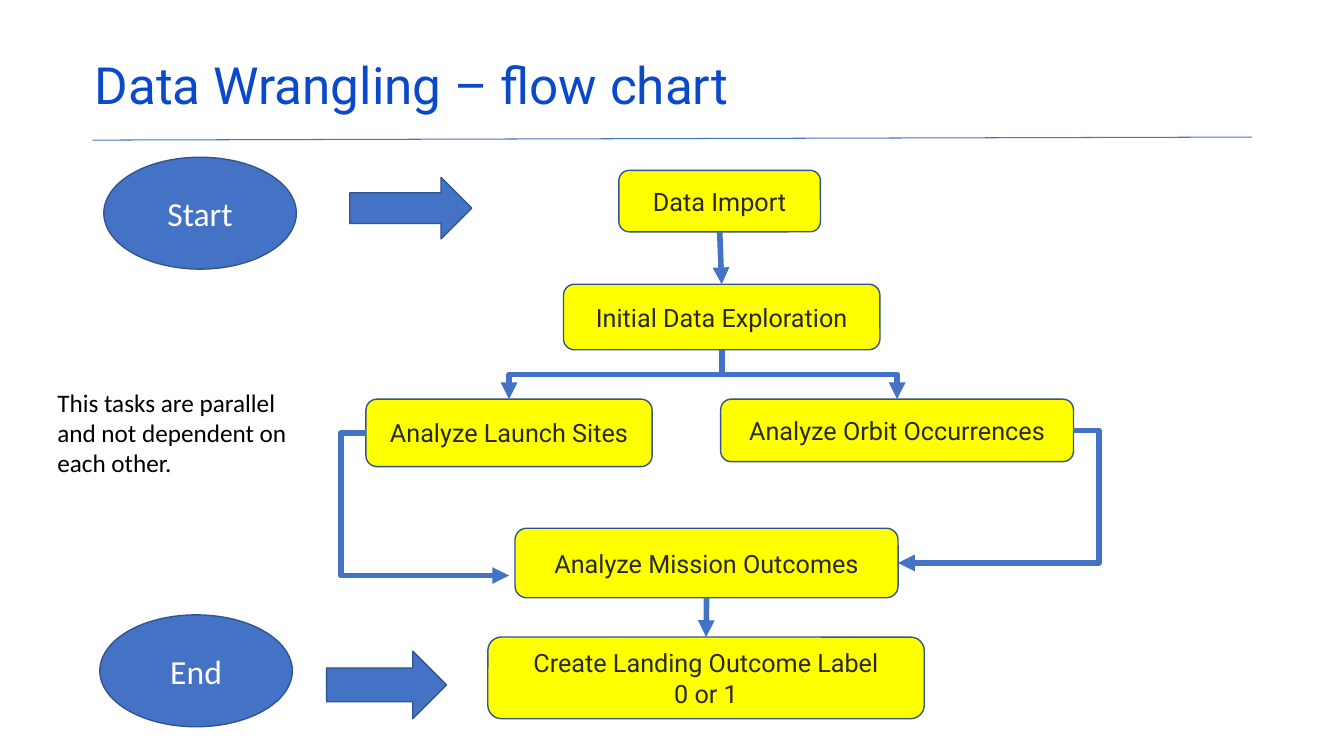
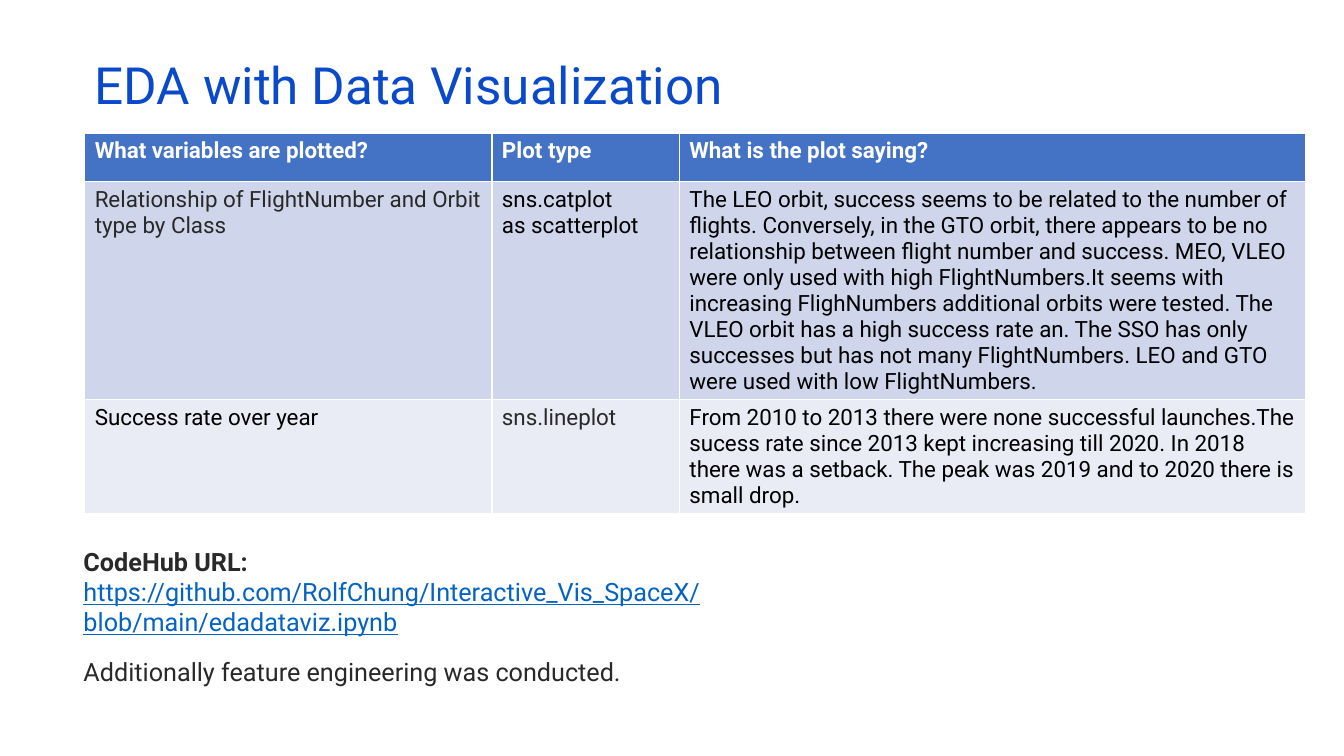
import pptx
import pptx.dml.color
import pptx.enum.shapes
import pptx.enum.text
import pptx.oxml
import pptx.oxml.ns
import pptx.util

RGBColor = pptx.dml.color.RGBColor
Shape = pptx.enum.shapes.MSO_SHAPE
Connector = pptx.enum.shapes.MSO_CONNECTOR
Align = pptx.enum.text.PP_ALIGN
Anchor = pptx.enum.text.MSO_ANCHOR

TITLE_BLUE = RGBColor(0x0B, 0x49, 0xCB)
BLUE = RGBColor(0x44, 0x72, 0xC4)
OUTLINE = RGBColor(0x32, 0x54, 0x90)
LINK = RGBColor(0x05, 0x63, 0xC1)
YELLOW = RGBColor(0xFF, 0xFF, 0x00)
WHITE = RGBColor(0xFF, 0xFF, 0xFF)
BLACK = RGBColor(0x00, 0x00, 0x00)
CHARCOAL = RGBColor(0x29, 0x29, 0x29)
BANDS = [RGBColor(0xCF, 0xD5, 0xEA), RGBColor(0xE9, 0xEB, 0xF5)]

HEADING_FONT = "Roboto"
BODY_FONT = "Calibri"
COLUMNS, ROWS = 80, 45
TOP, LEFT, BOTTOM, RIGHT = range(4)


class SlideBuilder:
    def __init__(self):
        self.deck = pptx.Presentation()
        self.deck.slide_width = pptx.util.Inches(13.333)
        self.deck.slide_height = pptx.util.Inches(7.5)
        self.page = None

    def x(self, columns):
        return round(self.deck.slide_width * columns / COLUMNS)

    def y(self, rows):
        return round(self.deck.slide_height * rows / ROWS)

    def area(self, left, top, width, height):
        return self.x(left), self.y(top), self.x(width), self.y(height)

    def style(self, para, size, color, font=HEADING_FONT, bold=False, underline=False):
        for span in para.runs:
            span.font.name = font
            span.font.size = pptx.util.Pt(size)
            span.font.color.rgb = color
            span.font.bold = bold
            span.font.underline = underline

    def new_page(self, title):
        self.page = self.deck.slides.add_slide(self.deck.slide_layouts[5])
        box = self.page.shapes.title
        box.left, box.top, box.width, box.height = self.area(5.04, 3.54, 69, 3.6)
        frame = box.text_frame
        frame.text = title
        frame.auto_size = pptx.enum.text.MSO_AUTO_SIZE.NONE
        frame.vertical_anchor = Anchor.MIDDLE
        para = frame.paragraphs[0]
        para.alignment = Align.LEFT
        para.line_spacing = 0.8
        self.style(para, 36.6, TITLE_BLUE)

    def shape(self, kind, area, fill, text="", size=18, color=CHARCOAL, font=HEADING_FONT):
        box = self.page.shapes.add_shape(kind, *self.area(*area))
        box.shadow.inherit = False
        box.fill.solid()
        box.fill.fore_color.rgb = fill
        box.line.color.rgb = OUTLINE
        box.line.width = pptx.util.Pt(1)
        if text:
            box.text_frame.text = text
            for para in box.text_frame.paragraphs:
                para.alignment = Align.CENTER
                self.style(para, size, color, font)
        return box

    def step(self, text, *area):
        return self.shape(Shape.ROUNDED_RECTANGLE, area, YELLOW, text)

    def terminal(self, text, left, top):
        self.shape(Shape.OVAL, (left, top, 11.46, 6.66), BLUE, text, 24, WHITE, BODY_FONT)

    def block_arrow(self, *area):
        self.shape(Shape.RIGHT_ARROW, area, BLUE)

    def text(self, area, lines):
        box = self.page.shapes.add_textbox(*self.area(*area))
        frame = box.text_frame
        frame.word_wrap = True
        frame.text = "\n".join(line for line, look in lines)
        for para, (line, look) in zip(frame.paragraphs, lines):
            self.style(para, 18, **look)
        return frame

    def line(self, kind, begin, end, width, arrow=True):
        link = self.page.shapes.add_connector(kind, *begin, *end)
        link.line.color.rgb = BLUE
        link.line.width = pptx.util.Pt(width)
        if arrow:
            head = pptx.oxml.parse_xml(
                f'<a:tailEnd {pptx.oxml.ns.nsdecls("a")} type="triangle"/>')
            link.line._get_or_add_ln().append(head)
        link._element.spPr.append(
            pptx.oxml.parse_xml(f'<a:effectLst {pptx.oxml.ns.nsdecls("a")}/>'))
        return link

    def rule(self, begin, end):
        points = [(self.x(column), self.y(row)) for column, row in (begin, end)]
        self.line(Connector.STRAIGHT, *points, 0.75, arrow=False)

    def side(self, box, side):
        middle_x, middle_y = box.left + box.width // 2, box.top + box.height // 2
        return {
            TOP: (middle_x, box.top),
            LEFT: (box.left, middle_y),
            BOTTOM: (middle_x, box.top + box.height),
            RIGHT: (box.left + box.width, middle_y),
        }[side]

    def down(self, upper, lower):
        link = self.line(Connector.STRAIGHT, self.side(upper, BOTTOM), self.side(lower, TOP), 4)
        link.begin_connect(upper, BOTTOM)
        link.end_connect(lower, TOP)

    def branch(self, upper, lower):
        begin_x, begin_y = self.side(upper, BOTTOM)
        end_x, end_y = self.side(lower, TOP)
        center_x, center_y = (begin_x + end_x) // 2, (begin_y + end_y) // 2
        turn = 1 if end_x < begin_x else -1
        half_x = turn * (end_y - begin_y) // 2
        half_y = turn * (end_x - begin_x) // 2
        link = self.line(Connector.ELBOW, (center_x - half_x, center_y + half_y),
                         (center_x + half_x, center_y - half_y), 4)
        link._element.spPr.xfrm.set("rot", str(turn * 90 % 360 * 60000))

    def detour(self, begin, end, columns):
        link = self.line(Connector.ELBOW, begin, end, 4)
        bend = round(100000 * self.x(columns) / (end[0] - begin[0]))
        geometry = link._element.spPr.find(pptx.oxml.ns.qn("a:prstGeom"))
        guides = geometry.find(pptx.oxml.ns.qn("a:avLst"))
        if guides is None:
            guides = pptx.oxml.parse_xml(f'<a:avLst {pptx.oxml.ns.nsdecls("a")}/>')
            geometry.append(guides)
        guides.append(pptx.oxml.parse_xml(
            f'<a:gd {pptx.oxml.ns.nsdecls("a")} name="adj1" fmla="val {bend}"/>'))

    def table(self, left, top, widths, heights, header, body):
        area = self.area(left, top, sum(widths), sum(heights))
        grid = self.page.shapes.add_table(len(heights), len(widths), *area).table
        for column, width in zip(grid.columns, widths):
            column.width = self.x(width)
        for row, height in zip(grid.rows, heights):
            row.height = self.y(height)
        rows = [[(text, WHITE) for text in header]] + body
        for row_index, row in enumerate(rows):
            for column_index, (text, color) in enumerate(row):
                cell = grid.cell(row_index, column_index)
                cell.fill.solid()
                cell.fill.fore_color.rgb = BANDS[(row_index - 1) % 2] if row_index else BLUE
                cell.text_frame.text = text
                for para in cell.text_frame.paragraphs:
                    self.style(para, 16, color, bold=row_index == 0)


def build_flow_chart(builder):
    builder.new_page("Data Wrangling – flow chart")
    builder.rule((5.52, 8.34), (74.52, 8.16))
    data_import = builder.step("Data Import", 36.84, 10.14, 12, 3.66)
    exploration = builder.step("Initial Data Exploration", 33.54, 16.92, 18.84, 3.9)
    sites = builder.step("Analyze Launch Sites", 21.78, 23.76, 17.04, 4.02)
    orbits = builder.step("Analyze Orbit Occurrences", 42.9, 23.76, 21, 3.72)
    outcomes = builder.step("Analyze Mission Outcomes", 30.66, 31.44, 22.8, 4.14)
    label = builder.step("Create Landing Outcome Label\n0 or 1", 29.04, 37.92, 25.98, 4.86)
    builder.terminal("Start", 6.18, 9.36)
    builder.terminal("End", 5.94, 36.6)
    builder.down(data_import, exploration)
    builder.branch(exploration, sites)
    builder.branch(exploration, orbits)
    builder.detour(builder.side(orbits, RIGHT), builder.side(outcomes, RIGHT), 1.5)
    builder.detour(builder.side(sites, LEFT), (builder.x(30.3), builder.y(34.26)), -1.5)
    builder.down(outcomes, label)
    builder.text((2.82, 22.74, 14.88, 6), [
        ("This tasks are parallel and not dependent on each other.",
         {"color": BLACK, "font": BODY_FONT})])
    builder.block_arrow(19.44, 38.76, 7.14, 4.02)
    builder.block_arrow(20.82, 10.56, 7.26, 3.66)


def build_visualization(builder):
    builder.new_page("EDA with Data Visualization")
    builder.table(
        5.04, 7.92, [24.24, 11.16, 37.3], [2.88, 13, 6.8],
        ["What variables are plotted?", "Plot type", "What is the plot saying?"],
        [
            [
                ("Relationship of FlightNumber and Orbit type by Class", CHARCOAL),
                ("sns.catplot\nas scatterplot", BLACK),
                ("The LEO orbit, success seems to be related to the number of flights. "
                 "Conversely, in the GTO orbit, there appears to be no relationship between "
                 "flight number and success. MEO, VLEO were only used with high "
                 "FlightNumbers.It seems with increasing FlighNumbers additional orbits were "
                 "tested. The VLEO orbit has a high success rate an. The SSO has only "
                 "successes but has not many FlightNumbers. LEO and GTO were used with low "
                 "FlightNumbers.", BLACK),
            ],
            [
                ("Success rate over year", BLACK),
                ("sns.lineplot", CHARCOAL),
                ("From 2010 to 2013 there were none successful launches.The sucess rate "
                 "since 2013 kept increasing till 2020. In 2018 there was a setback. The peak "
                 "was 2019 and to 2020 there is small drop.", BLACK),
            ],
        ])
    frame = builder.text((4.38, 32.22, 40.02, 8.94), [
        ("CodeHub URL:", {"color": CHARCOAL, "bold": True}),
        ("https://github.com/RolfChung/Interactive_Vis_SpaceX/blob/main/edadataviz.ipynb",
         {"color": LINK, "underline": True}),
        ("Additionally feature engineering was conducted.", {"color": CHARCOAL})])
    frame.paragraphs[-1].space_before = pptx.util.Pt(14)


def main():
    builder = SlideBuilder()
    build_flow_chart(builder)
    build_visualization(builder)
    builder.deck.save("out.pptx")


if __name__ == "__main__":
    main()
